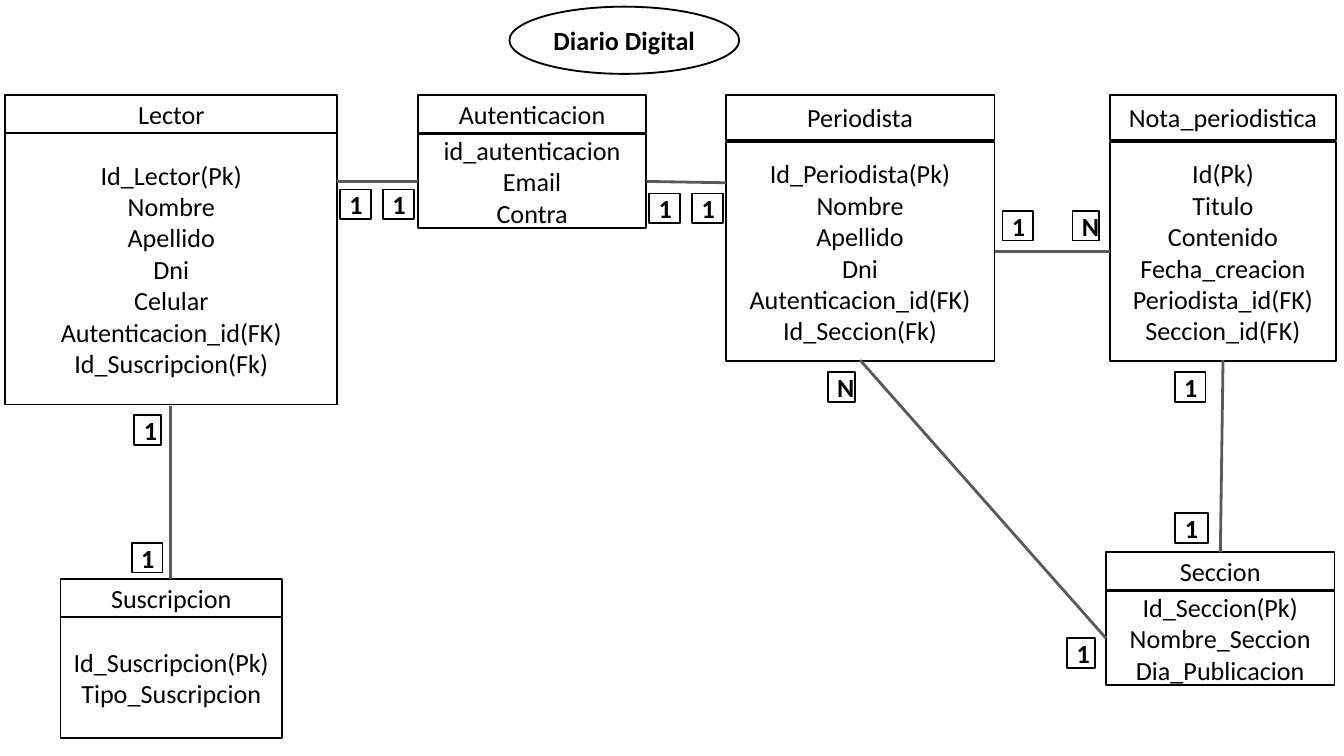
from lxml import etree
from pptx import Presentation
from pptx.dml.color import RGBColor
from pptx.enum import shapes, text
from pptx.oxml.ns import qn
from pptx.util import Inches, Pt

BLACK = RGBColor(0x00, 0x00, 0x00)
WHITE = RGBColor(0xFF, 0xFF, 0xFF)
GRAY = RGBColor(0x59, 0x59, 0x59)
FONT = "Calibri"

# name, left, top, width, header height, body top, body height, fields
ENTITIES = [
    ("Lector", 0.04, 0.71, 2.47, 0.28, 0.99, 2.02,
     ["Id_Lector(Pk)", "Nombre", "Apellido", "Dni", "Celular",
      "Autenticacion_id(FK)", "Id_Suscripcion(Fk)"]),
    ("Autenticacion", 3.11, 0.71, 1.7, 0.28, 1, 0.7,
     ["id_autenticacion", "Email", "Contra"]),
    ("Periodista", 5.4, 0.71, 2, 0.33, 1.06, 1.63,
     ["Id_Periodista(Pk)", "Nombre", "Apellido", "Dni",
      "Autenticacion_id(FK)", "Id_Seccion(Fk)"]),
    ("Nota_periodistica", 8.26, 0.71, 1.68, 0.33, 1.06, 1.63,
     ["Id(Pk)", "Titulo", "Contenido", "Fecha_creacion",
      "Periodista_id(FK)", "Seccion_id(FK)"]),
    ("Suscripcion", 0.45, 4.31, 1.65, 0.28, 4.59, 0.9,
     ["Id_Suscripcion(Pk)", "Tipo_Suscripcion"]),
    ("Seccion", 8.23, 4.11, 1.7, 0.28, 4.4, 0.7,
     ["Id_Seccion(Pk)", "Nombre_Seccion", "Dia_Publicacion"]),
]

# x1, y1, x2, y2
RELATIONS = [
    (1.27, 3.02, 1.27, 4.31),
    (7.4, 1.87, 8.26, 1.87),
    (9.1, 2.68, 9.08, 4.11),
    (6.4, 2.68, 8.23, 4.75),
    (4.81, 1.35, 5.4, 1.36),
    (3.11, 1.35, 2.51, 1.35),
]

# label, left, top, width
CARDINALITIES = [
    ("1", 1, 3.09, 0.2),
    ("1", 0.98, 4.04, 0.23),
    ("N", 6.16, 2.77, 0.2),
    ("1", 7.94, 4.75, 0.21),
    ("1", 7.46, 1.57, 0.23),
    ("N", 7.98, 1.57, 0.2),
    ("1", 8.74, 2.77, 0.23),
    ("1", 8.74, 3.82, 0.25),
    ("1", 5.15, 1.44, 0.23),
    ("1", 4.83, 1.44, 0.23),
    ("1", 2.85, 1.41, 0.23),
    ("1", 2.53, 1.41, 0.23),
]
CARDINALITY_HEIGHT = 0.22


def add_box(slide, lines, left, top, width, height, bold=False,
            kind=shapes.MSO_SHAPE.RECTANGLE):
    """Outlined white shape with one centred paragraph per line."""
    sp = slide.shapes.add_shape(kind, Inches(left), Inches(top),
                                Inches(width), Inches(height))
    sp.shadow.inherit = False
    sp.fill.solid()
    sp.fill.fore_color.rgb = WHITE
    sp.line.color.rgb = BLACK
    sp.line.width = Pt(1)
    tf = sp.text_frame
    tf.word_wrap = True
    tf.vertical_anchor = text.MSO_ANCHOR.MIDDLE
    tf.margin_left = tf.margin_right = Inches(0.07)
    tf.margin_top = tf.margin_bottom = Inches(0.04)
    for i, line in enumerate(lines):
        p = tf.add_paragraph() if i else tf.paragraphs[0]
        p.alignment = text.PP_ALIGN.CENTER
        r = p.add_run()
        r.text = line
        r.font.name = FONT
        r.font.size = Pt(14)
        r.font.bold = bold
        r.font.color.rgb = BLACK


def add_entity(slide, name, left, top, width, header_height,
               body_top, body_height, fields):
    add_box(slide, fields, left, body_top, width, body_height)
    add_box(slide, [name], left, top, width, header_height)


def add_relation(slide, x1, y1, x2, y2):
    line = slide.shapes.add_connector(
        shapes.MSO_CONNECTOR.STRAIGHT,
        Inches(x1), Inches(y1), Inches(x2), Inches(y2))
    line.line.color.rgb = GRAY
    line.line.width = Pt(1.5)
    etree.SubElement(line._element.spPr, qn("a:effectLst"))


def main():
    prs = Presentation()
    prs.slide_width = Inches(10)
    prs.slide_height = prs.slide_width * 9 // 16
    slide = prs.slides.add_slide(prs.slide_layouts[6])
    add_box(slide, ["Diario Digital"], 3.79, 0.05, 1.71, 0.5, bold=True,
            kind=shapes.MSO_SHAPE.OVAL)
    for entity in ENTITIES:
        add_entity(slide, *entity)
    for label, left, top, width in CARDINALITIES:
        add_box(slide, [label], left, top, width, CARDINALITY_HEIGHT, bold=True)
    for relation in RELATIONS:
        add_relation(slide, *relation)
    prs.save("out.pptx")


if __name__ == "__main__":
    main()
